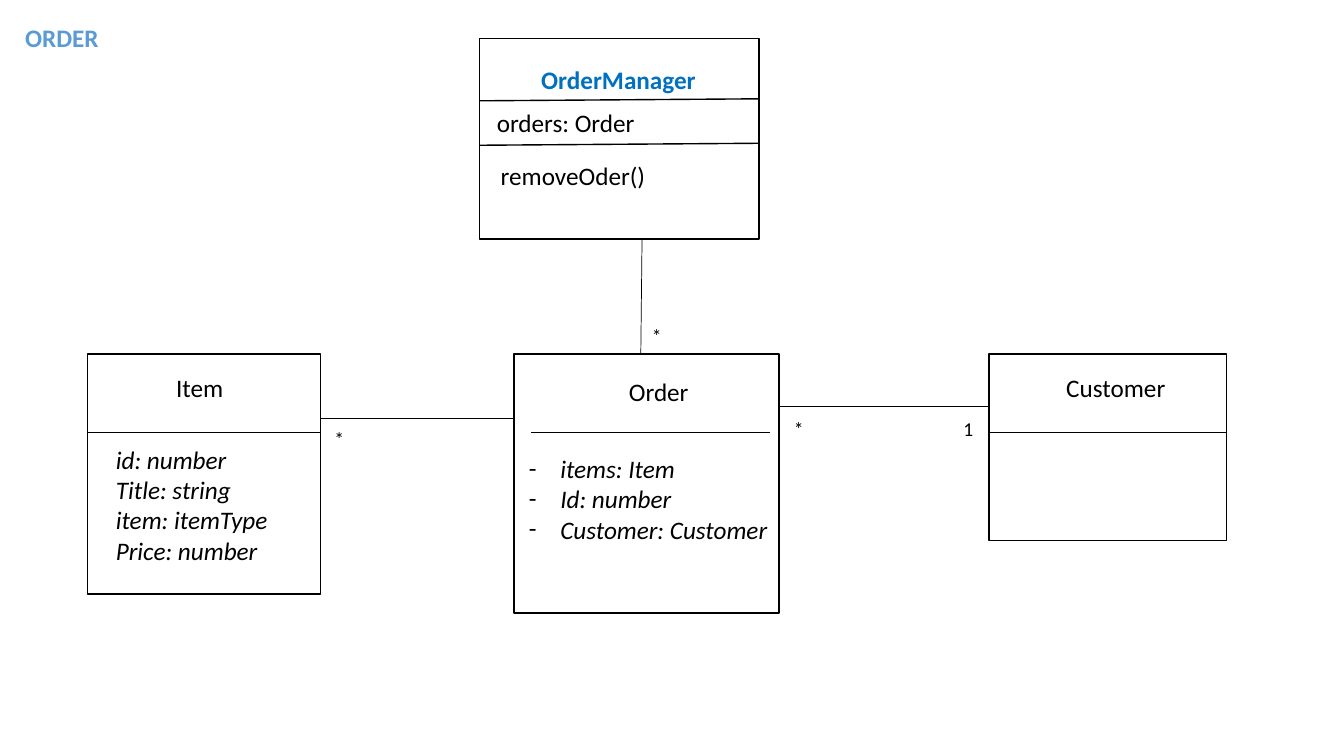
import pptx
import pptx.dml.color
import pptx.enum.shapes
import pptx.enum.text
import pptx.oxml.ns
import pptx.util
import lxml.etree

Cm = pptx.util.Cm
Pt = pptx.util.Pt
qn = pptx.oxml.ns.qn


def paint(code):
    return pptx.dml.color.RGBColor.from_string(code)


class Chart:
    font = "Calibri"
    ink = "000000"
    paper = "FFFFFF"

    def __init__(self, slide):
        self.slide = slide

    def box(self, x, y, w, h):
        kind = pptx.enum.shapes.MSO_SHAPE.RECTANGLE
        box = self.slide.shapes.add_shape(kind, Cm(x), Cm(y), Cm(w), Cm(h))
        box.shadow.inherit = False
        box.fill.solid()
        box.fill.fore_color.rgb = paint(self.paper)
        box.line.color.rgb = paint(self.ink)
        box.line.width = Pt(1)

    def line(self, x1, y1, x2, y2, width=1):
        kind = pptx.enum.shapes.MSO_CONNECTOR.STRAIGHT
        line = self.slide.shapes.add_connector(kind, Cm(x1), Cm(y1), Cm(x2), Cm(y2))
        line.line.color.rgb = paint(self.ink)
        line.line.width = Pt(width)
        lxml.etree.SubElement(line._element.spPr, qn("a:effectLst"))

    def style(self, frame, size=18, color=ink, bold=False, slant=False):
        frame.vertical_anchor = pptx.enum.text.MSO_ANCHOR.TOP
        for para in frame.paragraphs:
            para.alignment = pptx.enum.text.PP_ALIGN.LEFT
            para.line_spacing = 1.0
            for run in para.runs:
                run.font.name = self.font
                run.font.size = Pt(size)
                run.font.bold = bold
                run.font.italic = slant
                run.font.color.rgb = paint(color)

    def label(self, text, x, y, w, h=1.02, **look):
        label = self.slide.shapes.add_textbox(Cm(x), Cm(y), Cm(w), Cm(h))
        frame = label.text_frame
        frame.text = text
        frame.word_wrap = False
        frame.auto_size = pptx.enum.text.MSO_AUTO_SIZE.SHAPE_TO_FIT_TEXT
        self.style(frame, **look)

    def fields(self, names, x, y, w, h, dash=False):
        area = self.slide.shapes.add_textbox(Cm(x), Cm(y), Cm(w), Cm(h))
        frame = area.text_frame
        frame.text = "\n".join(names)
        frame.word_wrap = True
        self.style(frame, slant=True)
        if dash:
            for para in frame.paragraphs:
                props = para._p.get_or_add_pPr()
                props.set("marL", str(Cm(0.79)))
                props.set("indent", str(Cm(-0.79)))
                lxml.etree.SubElement(props, qn("a:buFont"), typeface=self.font)
                lxml.etree.SubElement(props, qn("a:buChar"), char="-")

    def title(self, text, x, y, w, h):
        title = self.slide.shapes.title
        title.left, title.top, title.width, title.height = Cm(x), Cm(y), Cm(w), Cm(h)
        frame = title.text_frame
        frame.text = text
        frame.word_wrap = False
        frame.auto_size = pptx.enum.text.MSO_AUTO_SIZE.SHAPE_TO_FIT_TEXT
        self.style(frame, color="5B9BD5", bold=True)


def main():
    deck = pptx.Presentation()
    deck.slide_width, deck.slide_height = Cm(33.87), Cm(19.05)
    chart = Chart(deck.slides.add_slide(deck.slide_layouts[5]))
    chart.title("ORDER", 0.38, 0.43, 2.39, 1.02)

    chart.box(12.09, 0.97, 7.04, 5.05)
    for y in (2.54, 3.66):
        chart.line(12.09, y, 19.13, y - 0.05)
    chart.label("OrderManager", 13.39, 1.5, 4.45, color="0070C0", bold=True)
    chart.label("orders: Order", 12.27, 2.57, 4.01)
    chart.label("removeOder()", 12.37, 3.91, 4.19)

    top, rule = 8.92, 10.9
    classes = [
        ("Item", 2.21, 5.87, 6.05, 0, 0, 4.19, 9.25, 1.7),
        ("Order", 12.95, 6.68, 6.53, 0.44, 0.22, 15.6, 9.37, 2.03),
        ("Customer", 24.92, 5.99, 4.7, 0, 0, 26.62, 9.25, 3.05),
    ]
    for name, x, w, h, left, right, tx, ty, tw in classes:
        chart.box(x, top, w, h)
        chart.line(x + left, rule, x + w - right, rule)
        chart.label(name, tx, ty, tw)

    item = ["id: number", "Title: string", "item: itemType", "Price: number"]
    chart.fields(item, 2.67, 11.07, 5.87, 4.11)
    order = ["items: Item", "Id: number", "Customer: Customer"]
    chart.fields(order, 13.08, 11.3, 6.88, 2.57, dash=True)

    links = [
        (16.18, 6.02, 16.15, 8.89),
        (12.95, 10.54, 8.08, 10.54),
        (24.92, 10.24, 19.63, 10.24),
    ]
    for ends in links:
        chart.line(*ends, width=0.5)
    marks = [
        ("*", 16.18, 8.03),
        ("*", 8.18, 10.64),
        ("*", 19.76, 10.39),
        ("1", 24.03, 10.39),
    ]
    for mark, x, y in marks:
        chart.label(mark, x, y, 0.76, 0.86, size=14)

    deck.save("out.pptx")


if __name__ == "__main__":
    main()
